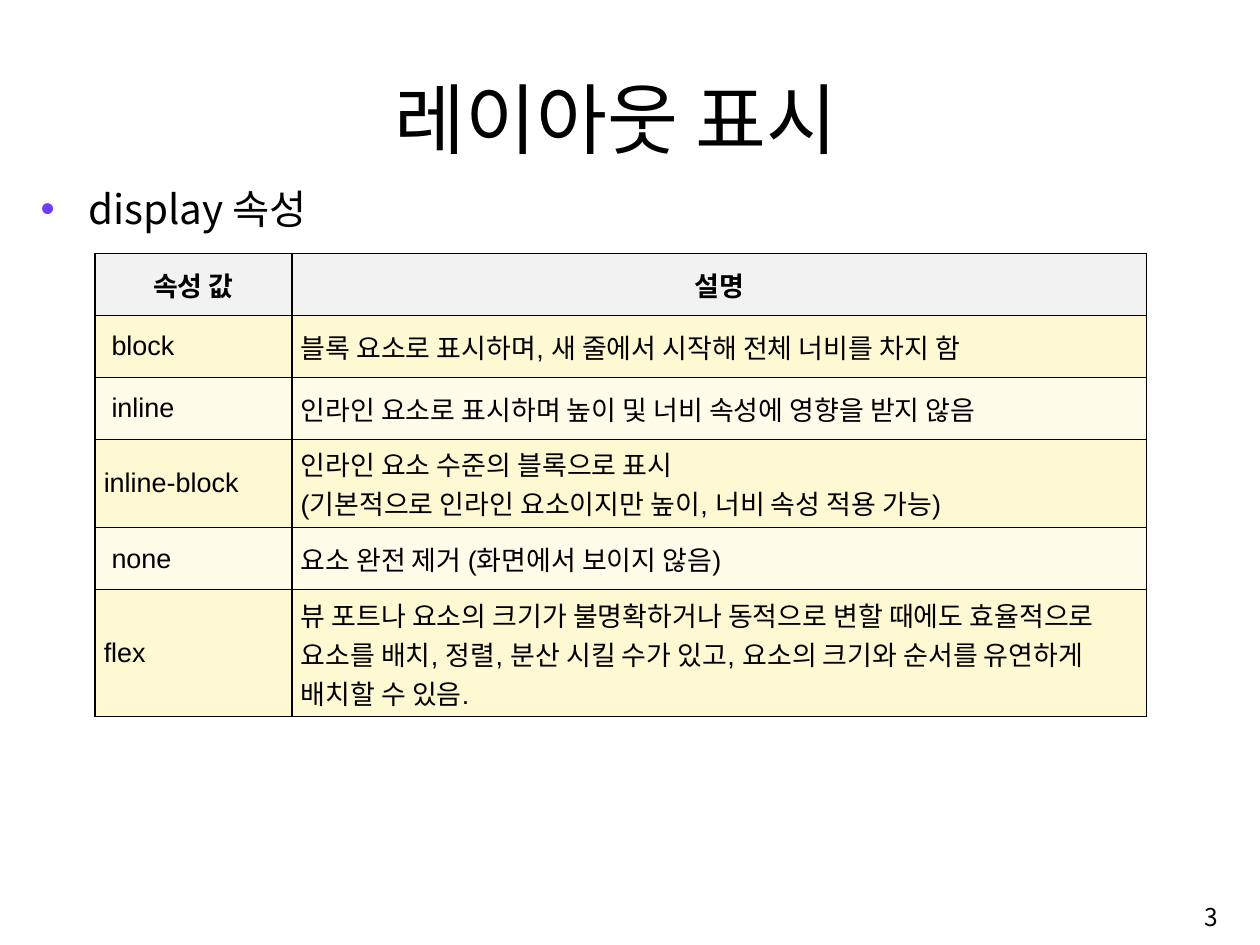
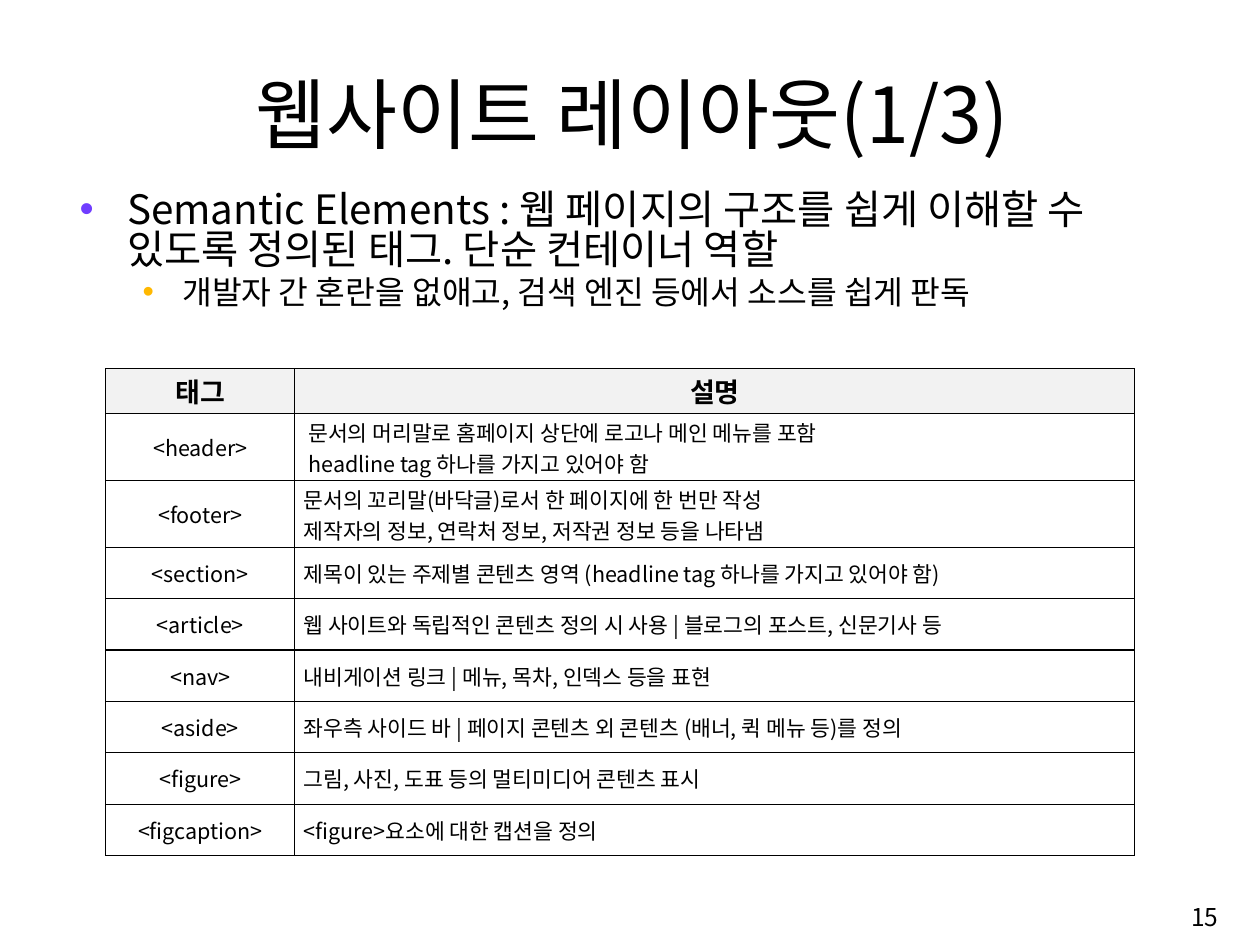
"""Build two slides on web page layout, each with a title, bullets and a table."""
from dataclasses import dataclass

from lxml.etree import SubElement
from pptx import Presentation
from pptx.dml.color import RGBColor
from pptx.enum.text import MSO_ANCHOR as Anchor, MSO_AUTO_SIZE as AutoSize, PP_ALIGN as Align
from pptx.oxml.ns import qn
from pptx.util import Inches, Pt


@dataclass(frozen=True)
class Theme:
    ink: str = "000000"
    header: str = "F2F2F2"
    bands: tuple = ("FFF9D3", "FFFCEA")
    bullets: tuple = ("703DFF", "FFB800")
    sans: str = "Noto Sans CJK KR"
    latin: str = "Arial"
    title_size: float = 57.2
    body_sizes: tuple = (30, 24)
    number_size: float = 18.2
    header_size: float = 20
    border: float = 1


THEME = Theme()
BULLET_INDENTS = ((0.49, -0.49), (1.06, -0.41))

SLIDES = [
    {
        "number": "3",
        "title": "레이아웃 표시",
        "title_at": (1.05, 0.61, 10.61, 1.08),
        "body": [(0, "display 속성")],
        "body_at": (0.32, 1.89, 12.32, 7.25),
        "table": {
            "at": (0.98, 2.61),
            "columns": (2.03, 8.81),
            "heights": (0.64, 0.64, 0.64, 0.91, 0.64, 1.31),
            "font": THEME.latin,
            "size": 20,
            "aligns": (Align.LEFT, Align.LEFT),
            "margin": 0.05,
            "bands": THEME.bands,
            "indents": {(1, 0): 0.08, (2, 0): 0.08, (4, 0): 0.08},
            "rows": [
                ("속성 값", "설명"),
                ("block", "블록 요소로 표시하며, 새 줄에서 시작해 전체 너비를 차지 함"),
                ("inline", "인라인 요소로 표시하며 높이 및 너비 속성에 영향을 받지 않음"),
                ("inline-block", "인라인 요소 수준의 블록으로 표시\n"
                                 "(기본적으로 인라인 요소이지만 높이, 너비 속성 적용 가능)"),
                ("none", "요소 완전 제거 (화면에서 보이지 않음)"),
                ("flex", "뷰 포트나 요소의 크기가 불명확하거나 동적으로 변할 때에도 효율적으로 "
                         "요소를 배치, 정렬, 분산 시킬 수가 있고, 요소의 크기와 순서를 "
                         "유연하게 배치할 수 있음."),
            ],
        },
    },
    {
        "number": "15",
        "title": "웹사이트 레이아웃(1/3)",
        "title_at": (1.21, 0.56, 10.61, 1.08),
        "body": [
            (0, "Semantic Elements : 웹 페이지의 구조를 쉽게 이해할 수 있도록 정의된 태그. "
                "단순 컨테이너 역할"),
            (1, "개발자 간 혼란을 없애고, 검색 엔진 등에서 소스를 쉽게 판독"),
        ],
        "body_at": (0.72, 1.89, 11.36, 6.85),
        "table": {
            "at": (1.09, 3.8),
            "columns": (1.95, 8.66),
            "heights": (0.46, 0.69, 0.69) + (0.53,) * 6,
            "font": THEME.sans,
            "size": 16,
            "aligns": (Align.CENTER, Align.JUSTIFY),
            "margin": 0.03,
            "bands": (),
            "indents": {(1, 1): 0.05},
            "rows": [
                ("태그", "설명"),
                ("<header>", "문서의 머리말로 홈페이지 상단에 로고나 메인 메뉴를 포함\n"
                             "headline tag 하나를 가지고 있어야 함"),
                ("<footer>", "문서의 꼬리말(바닥글)로서 한 페이지에 한 번만 작성\n"
                             "제작자의 정보, 연락처 정보, 저작권 정보 등을 나타냄"),
                ("<section>", "제목이 있는 주제별 콘텐츠 영역 (headline tag 하나를 가지고 있어야 함)"),
                ("<article>", "웹 사이트와 독립적인 콘텐츠 정의 시 사용 | 블로그의 포스트, 신문기사 등"),
                ("<nav>", "내비게이션 링크 | 메뉴, 목차, 인덱스 등을 표현"),
                ("<aside>", "좌우측 사이드 바 | 페이지 콘텐츠 외 콘텐츠 (배너, 퀵 메뉴 등)를 정의"),
                ("<figure>", "그림, 사진, 도표 등의 멀티미디어 콘텐츠 표시"),
                ("<figcaption>", "<figure>요소에 대한 캡션을 정의"),
            ],
        },
    },
]


def style(paragraph, size, align, font=THEME.sans, bold=False):
    paragraph.alignment = align
    for span in paragraph.runs:
        span.font.size = Pt(size)
        span.font.bold = bold
        span.font.name = font
        span.font.color.rgb = RGBColor.from_string(THEME.ink)
        SubElement(span.font._element, qn("a:ea"), typeface=THEME.sans)


def place(shape, at):
    shape.left, shape.top, shape.width, shape.height = map(Inches, at)


def indent(paragraph, left, first=0):
    properties = paragraph._p.get_or_add_pPr()
    properties.set("marL", str(Inches(left)))
    properties.set("indent", str(Inches(first)))
    return properties


def add_title(page, text, at):
    box = page.shapes.title
    place(box, at)
    frame = box.text_frame
    frame.text = text
    frame.auto_size = AutoSize.NONE
    frame.vertical_anchor = Anchor.BOTTOM
    frame.margin_bottom = 0
    style(frame.paragraphs[0], THEME.title_size, Align.CENTER)


def add_body(page, items, at):
    box = page.placeholders[1]
    place(box, at)
    frame = box.text_frame
    frame.text = "\n".join(text for level, text in items)
    frame.auto_size = AutoSize.NONE
    frame.margin_top = Inches(0.1)
    for position, (para, (level, text)) in enumerate(zip(frame.paragraphs, items)):
        size = THEME.body_sizes[level]
        para.level = level
        para.line_spacing = 0.82
        para.space_before = Pt(size * 0.2 if position else 0)
        properties = indent(para, *BULLET_INDENTS[level])
        color = SubElement(properties, qn("a:buClr"))
        SubElement(color, qn("a:srgbClr"), val=THEME.bullets[level])
        SubElement(properties, qn("a:buFont"), typeface=THEME.latin)
        SubElement(properties, qn("a:buChar"), char="•")
        style(para, size, Align.LEFT)


def add_number(page, text):
    frame = page.shapes.add_textbox(*map(Inches, (9.98, 9.15, 2.68, 0.6))).text_frame
    frame.word_wrap = True
    frame.vertical_anchor = Anchor.MIDDLE
    frame.text = text
    style(frame.paragraphs[0], THEME.number_size, Align.RIGHT)


def add_borders(cell):
    properties = cell._tc.get_or_add_tcPr()
    for side in ("lnL", "lnR", "lnT", "lnB"):
        line = SubElement(properties, qn(f"a:{side}"), w=str(Pt(THEME.border)))
        fill = SubElement(line, qn("a:solidFill"))
        SubElement(fill, qn("a:srgbClr"), val=THEME.ink)


def fill_cell(cell, color):
    if color:
        cell.fill.solid()
        cell.fill.fore_color.rgb = RGBColor.from_string(color)
    else:
        cell.fill.background()


def add_grid(page, left, top, grid):
    rows, columns, heights = grid["rows"], grid["columns"], grid["heights"]
    extent = map(Inches, (left, top, sum(columns), sum(heights)))
    table = page.shapes.add_table(len(rows), len(columns), *extent).table
    table.first_row = table.horz_banding = False
    for column, width in zip(table.columns, columns):
        column.width = Inches(width)
    for r, (row, height) in enumerate(zip(table.rows, heights)):
        row.height = Inches(height)
        header, bands = r == 0, grid["bands"]
        band = bands[(r - 1) % len(bands)] if bands else None
        for c, cell in enumerate(row.cells):
            cell.text_frame.text = rows[r][c]
            cell.vertical_anchor = Anchor.MIDDLE
            cell.margin_left = cell.margin_right = Inches(0.09)
            cell.margin_top = cell.margin_bottom = Inches(grid["margin"])
            add_borders(cell)
            fill_cell(cell, THEME.header if header else band)
            for para in cell.text_frame.paragraphs:
                indent(para, grid["indents"].get((r, c), 0))
                size = THEME.header_size if header else grid["size"]
                align = Align.CENTER if header else grid["aligns"][c]
                style(para, size, align, grid["font"], header)


def main():
    deck = Presentation()
    deck.slide_width, deck.slide_height = Inches(12.99), Inches(9.74)
    for content in SLIDES:
        page = deck.slides.add_slide(deck.slide_layouts[1])
        add_title(page, content["title"], content["title_at"])
        add_body(page, content["body"], content["body_at"])
        add_number(page, content["number"])
        add_grid(page, *content["table"]["at"], content["table"])
    deck.save("out.pptx")


if __name__ == "__main__":
    main()
